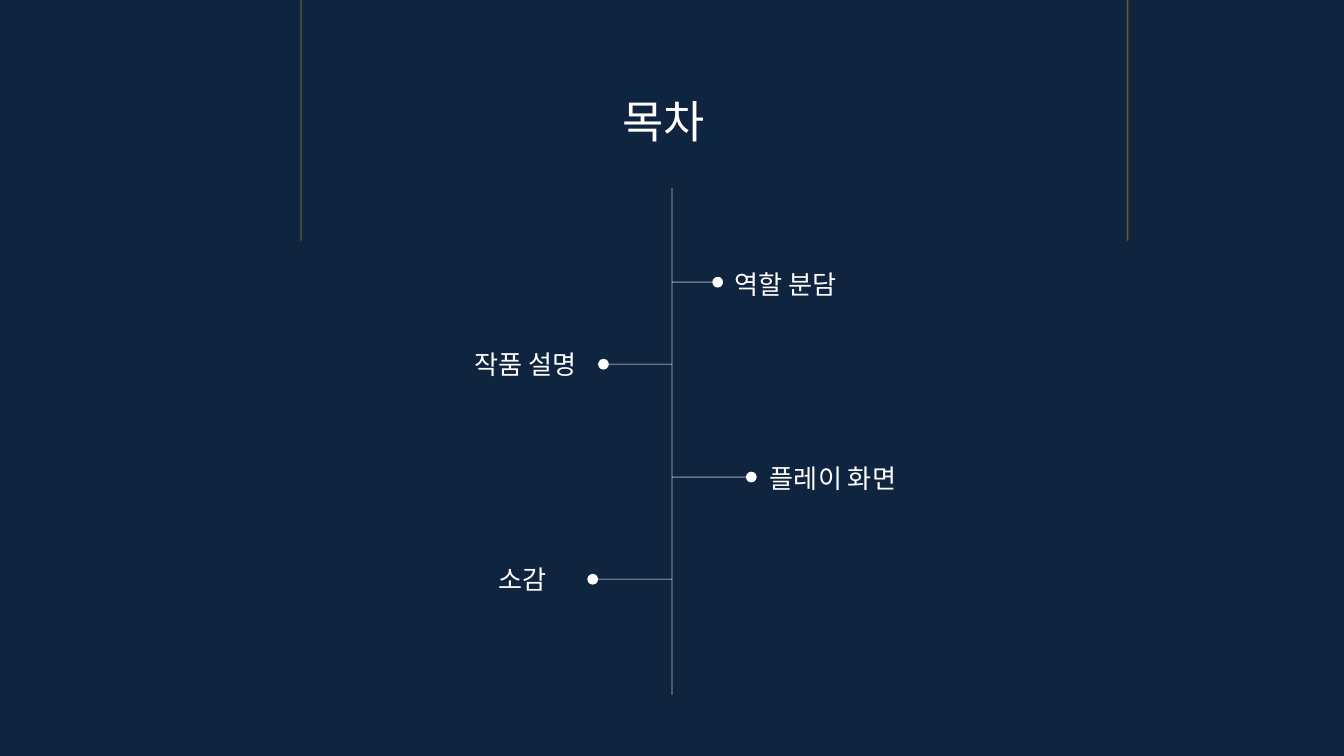
from lxml import etree
from pptx import Presentation
from pptx.dml.color import RGBColor
from pptx.enum.shapes import MSO_CONNECTOR, MSO_SHAPE
from pptx.enum.text import MSO_ANCHOR, MSO_AUTO_SIZE, PP_ALIGN
from pptx.oxml.ns import qn
from pptx.util import Inches, Pt

STRAIGHT = MSO_CONNECTOR.STRAIGHT
OVAL = MSO_SHAPE.OVAL
TOP = MSO_ANCHOR.TOP
FIT_SHAPE = MSO_AUTO_SIZE.SHAPE_TO_FIT_TEXT
LEFT = PP_ALIGN.LEFT

NAVY = RGBColor(0x0F, 0x24, 0x3E)
WHITE = RGBColor(0xFF, 0xFF, 0xFF)
GOLD = RGBColor(0xFF, 0xC0, 0x00)
FONT_NAME = "Noto Sans CJK KR"
LINE_OPACITY = 36
SLIDE_WIDTH = 10
SLIDE_HEIGHT = SLIDE_WIDTH * 9 / 16
DOT_SIZE = 0.08
LABEL_HEIGHT = 0.34

TITLE_BOX = (4.53, 0.65, 0.85, 0.5)
TIMELINE_BOX = (5, 1.4, 3.77)
GOLD_LINES = (2.24, 8.39)
GOLD_LENGTH = 1.79

TOPICS = [
    ("역할 분담", 0.7, 0.31, 0.3, 0.37, 0.55, 1.06),
    ("작품 설명", 1.31, -0.55, -0.55, -1.57, 1.14, 1.06),
    ("플레이 화면", 2.15, 0.55, 0.55, 0.63, 1.99, 1.25),
    ("소감", 2.91, -0.55, -0.63, -1.39, 2.74, 0.59),
]


def apply_format(target, values):
    """Set every attribute in a dict of format values."""
    for name, value in values.items():
        setattr(target, name, value)


def write_text(shape, text, size):
    """Fill a shape with one left-aligned white line of text."""
    frame = shape.text_frame
    apply_format(frame, {"word_wrap": False, "auto_size": FIT_SHAPE, "vertical_anchor": TOP})
    paragraph = frame.paragraphs[0]
    paragraph.alignment = LEFT
    run = paragraph.add_run()
    run.text = text
    apply_format(run.font, {"name": FONT_NAME, "size": Pt(size)})
    run.font.color.rgb = WHITE
    etree.SubElement(run.font._element, qn("a:ea"), typeface=FONT_NAME)


def add_line(slide, start, end, color):
    """Draw a thin translucent line between two points in inches."""
    points = [Inches(value) for value in (*start, *end)]
    connector = slide.shapes.add_connector(STRAIGHT, *points)
    connector.line.width = Pt(0.75)
    connector.line.color.rgb = color
    properties = connector._element.spPr
    color_element = next(properties.iter(qn("a:srgbClr")))
    etree.SubElement(color_element, qn("a:alpha"), val=str(LINE_OPACITY * 1000))
    etree.SubElement(properties, qn("a:effectLst"))


def add_dot(slide, left, top):
    """Draw a white dot without an outline."""
    box = [Inches(value) for value in (left, top, DOT_SIZE, DOT_SIZE)]
    dot = slide.shapes.add_shape(OVAL, *box)
    dot.shadow.inherit = False
    dot.fill.solid()
    dot.fill.fore_color.rgb = WHITE
    dot.line.fill.background()


def add_title(slide, box):
    """Place the title placeholder in its box."""
    left, top, width, height = [Inches(value) for value in box]
    title = slide.shapes.title
    apply_format(title, {"left": left, "top": top, "width": width, "height": height})
    write_text(title, "목차", 24)


def add_timeline(slide, box, topics):
    """Draw the vertical axis and its topics, given as offsets from the axis top."""
    axis, top, height = box
    add_line(slide, (axis, top), (axis, top + height), WHITE)
    for text, offset, stem, dot, label_left, label_top, label_width in topics:
        y = top + offset
        add_line(slide, (axis, y), (axis + stem, y), WHITE)
        add_dot(slide, axis + dot, y - DOT_SIZE / 2)
        label_box = (axis + label_left, top + label_top, label_width, LABEL_HEIGHT)
        label = slide.shapes.add_textbox(*[Inches(value) for value in label_box])
        write_text(label, text, 14)


def add_gold_lines(slide, positions, length):
    """Hang the decorative gold lines from the top edge."""
    for x in positions:
        add_line(slide, (x, 0), (x, length), GOLD)


def main():
    """Build and save the contents slide."""
    presentation = Presentation()
    size = {"slide_width": Inches(SLIDE_WIDTH), "slide_height": Inches(SLIDE_HEIGHT)}
    apply_format(presentation, size)
    slide = presentation.slides.add_slide(presentation.slide_layouts[5])
    slide.background.fill.solid()
    slide.background.fill.fore_color.rgb = NAVY
    add_title(slide, TITLE_BOX)
    add_timeline(slide, TIMELINE_BOX, TOPICS)
    add_gold_lines(slide, GOLD_LINES, GOLD_LENGTH)
    presentation.save("out.pptx")


if __name__ == "__main__":
    main()
